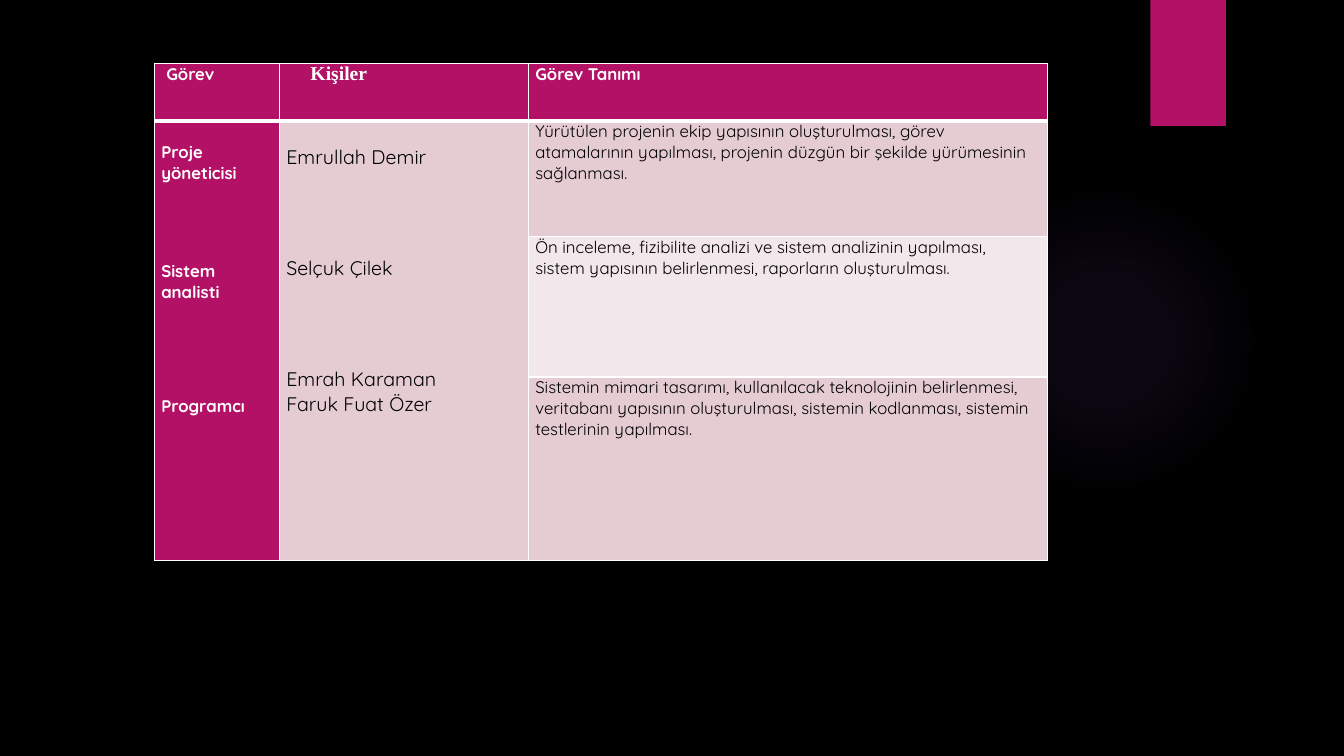
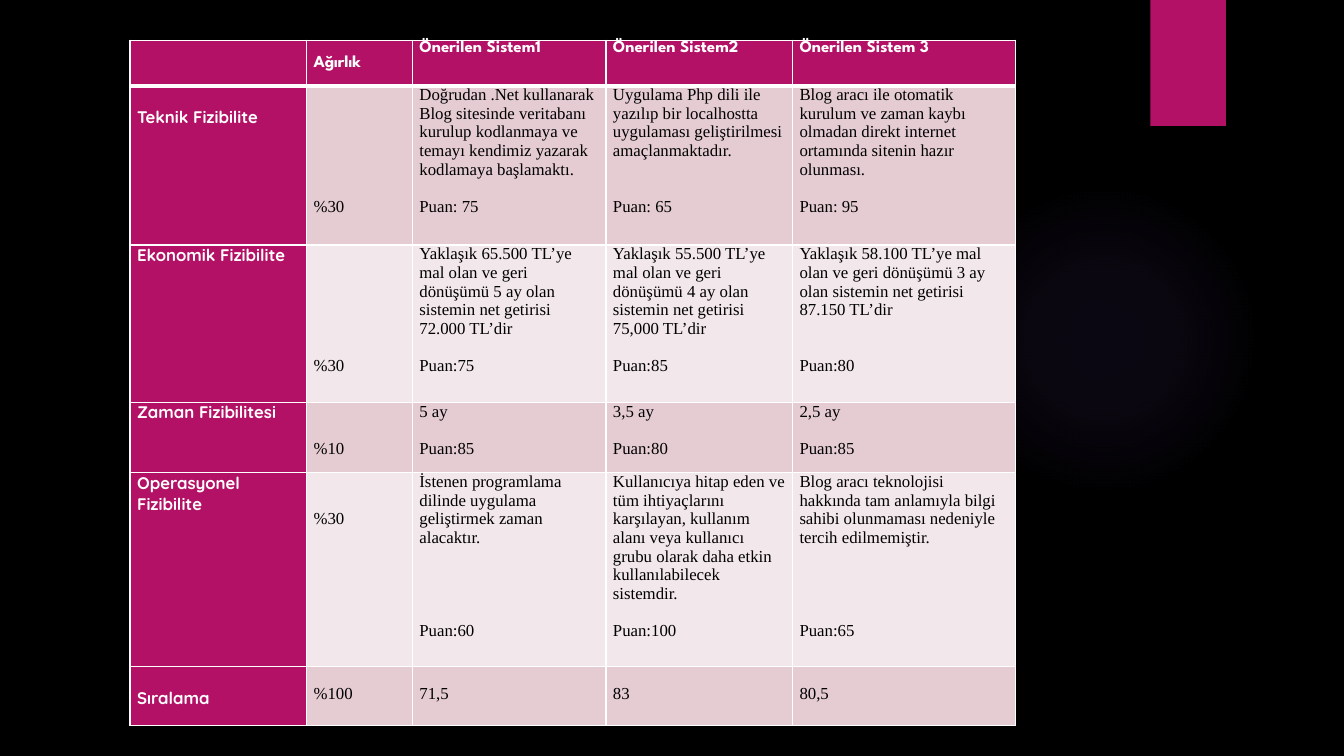
from pptx import Presentation
from pptx.dml.color import RGBColor
from pptx.enum.shapes import MSO_SHAPE as Shape
from pptx.enum.text import MSO_ANCHOR as Anchor
from pptx.oxml import parse_xml
from pptx.oxml.ns import nsdecls
from pptx.util import Inches, Pt

BLACK = RGBColor(0x00, 0x00, 0x00)
WHITE = RGBColor(0xFF, 0xFF, 0xFF)
MAGENTA = RGBColor(0xB3, 0x11, 0x66)
ROSE = RGBColor(0xE5, 0xCC, 0xD3)
PALE = RGBColor(0xF2, 0xE7, 0xEA)
GLOW = RGBColor(0x9B, 0x6B, 0xF2)
GLOW_STOPS = [(0, 7), (36, 6), (69, 0)]  # position and opacity, per cent

SANS, DISPLAY, SERIF = "Quicksand", "League Spartan", "Times New Roman"
LINE = 13.3  # height in points of one 12 pt serif line
LABEL_LINE = 15  # the same for the sans labels
SIDE = 0.07


def style(name, size=12, color=BLACK, bold=False):
    return {"name": name, "size": Pt(size), "bold": bold}, color


LABEL = style(SANS, color=WHITE, bold=True)
HEADING = style(DISPLAY, color=WHITE, bold=True)
SERIF_HEADING = style(SERIF, 14, WHITE, True)
PERSON = style(SANS, 14)
DUTY = style(SANS)
BODY = style(SERIF)

# A cell holds its paragraphs as (gap above in points, text), then its style
# and, where needed, cell settings.


def plain(text, look, **settings):
    return [(0, text)], look, settings


def lowered(lines, text, look=BODY):
    return [((LABEL_LINE if look is LABEL else LINE) * lines, text)], look, {}


def scored(text, blank_lines, score):
    return [(0, text), (LINE * blank_lines, score)], BODY, {}


TEAM = {
    "at": (1.53, 0.63),
    "columns": [1.24, 2.47, 5.15],
    "rows": [0.57, 1.15, 1.39, 1.82],
    "merge": [0, 1],
    "cells": [
        [plain("Görev", LABEL, margin_left=Inches(0.12)),
         plain("Kişiler", SERIF_HEADING, margin_left=Inches(0.31)),
         plain("Görev Tanımı", LABEL)],
        [([(LABEL_LINE, "Proje yöneticisi"), (55, "Sistem analisti"),
           (66.5, "Programcı")], LABEL, {}),
         ([(17, "Emrullah Demir"), (62, "Selçuk Çilek"),
           (62, "Emrah Karaman"), (0, "Faruk Fuat Özer")], PERSON, {}),
         plain("Yürütülen projenin ekip yapısının oluşturulması, görev "
               "atamalarının yapılması, projenin düzgün bir şekilde "
               "yürümesinin sağlanması.", DUTY)],
        [None, None,
         plain("Ön inceleme, fizibilite analizi ve sistem analizinin "
               "yapılması, sistem yapısının belirlenmesi, raporların "
               "oluşturulması.", DUTY)],
        [None, None,
         plain("Sistemin mimari tasarımı, kullanılacak teknolojinin "
               "belirlenmesi, veritabanı yapısının oluşturulması, sistemin "
               "kodlanması, sistemin testlerinin yapılması.", DUTY)],
    ],
}

FEASIBILITY = {
    "at": (1.29, 0.4),
    "columns": [1.75, 1.05, 1.92, 1.85, 2.21],
    "rows": [0.45, 1.58, 1.56, 0.7, 1.92, 0.59],
    "merge": [],
    "cells": [
        [None,
         plain("Ağırlık", HEADING, vertical_anchor=Anchor.MIDDLE),
         plain("Önerilen Sistem1", HEADING),
         plain("Önerilen Sistem2", HEADING),
         plain("Önerilen Sistem 3", HEADING)],
        [lowered(1, "Teknik Fizibilite", LABEL),
         lowered(6, "%30"),
         scored("Doğrudan .Net kullanarak Blog sitesinde veritabanı kurulup "
                "kodlanmaya ve temayı kendimiz yazarak kodlamaya başlamaktı.",
                1, "Puan: 75"),
         scored("Uygulama Php dili ile yazılıp bir localhostta uygulaması "
                "geliştirilmesi amaçlanmaktadır.", 2, "Puan: 65"),
         scored("Blog aracı ile otomatik kurulum ve zaman kaybı olmadan direkt "
                "internet ortamında sitenin hazır olunması.", 1, "Puan: 95")],
        [plain("Ekonomik Fizibilite", LABEL),
         lowered(6, "%30"),
         scored("Yaklaşık 65.500 TL’ye mal olan ve geri dönüşümü 5 ay olan "
                "sistemin net getirisi 72.000 TL’dir", 1, "Puan:75"),
         scored("Yaklaşık 55.500 TL’ye mal olan ve geri dönüşümü 4 ay olan "
                "sistemin net getirisi 75,000 TL’dir", 1, "Puan:85"),
         scored("Yaklaşık 58.100 TL’ye mal olan ve geri dönüşümü 3 ay olan "
                "sistemin net getirisi 87.150 TL’dir", 2, "Puan:80")],
        [plain("Zaman Fizibilitesi", LABEL),
         lowered(2, "%10"),
         scored("5 ay", 1, "Puan:85"),
         scored("3,5 ay", 1, "Puan:80"),
         scored("2,5 ay", 1, "Puan:85")],
        [plain("Operasyonel Fizibilite", LABEL),
         lowered(2, "%30"),
         scored("İstenen programlama dilinde uygulama geliştirmek zaman "
                "alacaktır.", 4, "Puan:60"),
         scored("Kullanıcıya hitap eden ve tüm ihtiyaçlarını karşılayan, "
                "kullanım alanı veya kullanıcı grubu olarak daha etkin "
                "kullanılabilecek sistemdir.", 1, "Puan:100"),
         scored("Blog aracı teknolojisi hakkında tam anlamıyla bilgi sahibi "
                "olunmaması nedeniyle tercih edilmemiştir.", 4, "Puan:65")],
        [lowered(1, "Sıralama", LABEL)]
        + [lowered(1, value) for value in ("%100", "71,5", "83", "80,5")],
    ],
}


def add_ornament(slide, kind, *box):
    shape = slide.shapes.add_shape(kind, *map(Inches, box))
    shape.shadow.inherit = False
    shape.line.fill.background()
    shape.fill.solid()
    shape.fill.fore_color.rgb = MAGENTA
    return shape


def make_glow(shape):
    """Replace the solid fill by a radial gradient that fades out."""
    stops = "".join(
        f'<a:gs pos="{position * 1000}"><a:srgbClr val="{GLOW}">'
        f'<a:alpha val="{opacity * 1000}"/></a:srgbClr></a:gs>'
        for position, opacity in GLOW_STOPS)
    gradient = parse_xml(
        f'<a:gradFill {nsdecls("a")}><a:gsLst>{stops}</a:gsLst>'
        '<a:path path="circle"><a:fillToRect l="50000" t="50000" '
        'r="50000" b="50000"/></a:path></a:gradFill>')
    properties = shape.element.spPr
    solid = properties.find("{*}solidFill")
    properties.replace(solid, gradient)


def set_borders(cell, row):
    """White lines all round, with a heavy one below the header row."""
    widths = {"L": 1, "R": 1, "T": 3 if row == 1 else 1,
              "B": 3 if row == 0 else 1}
    properties = cell._tc.get_or_add_tcPr()
    for index, (side, width) in enumerate(widths.items()):
        properties.insert(index, parse_xml(
            f'<a:ln{side} {nsdecls("a")} w="{Pt(width)}"><a:solidFill>'
            f'<a:srgbClr val="{WHITE}"/></a:solidFill></a:ln{side}>'))


def write_cell(cell, paragraphs, look, settings):
    font_values, color = look
    lead = paragraphs[0][0]
    margins = {"margin_left": Inches(SIDE), "margin_right": Inches(SIDE),
               "margin_top": Pt(lead), "margin_bottom": 0}
    for key, value in {**margins, **settings}.items():
        setattr(cell, key, value)
    frame = cell.text_frame
    for index, (gap, text) in enumerate(paragraphs):
        para = frame.add_paragraph() if index else frame.paragraphs[0]
        para.space_before = Pt(gap if index else 0)
        span = para.add_run()
        span.text = text
        for key, value in font_values.items():
            setattr(span.font, key, value)
        span.font.color.rgb = color


def add_grid(slide, grid):
    columns, rows = grid["columns"], grid["rows"]
    box = (*grid["at"], sum(columns), sum(rows))
    table = slide.shapes.add_table(
        len(rows), len(columns), *map(Inches, box)).table
    table.first_row = table.horz_banding = False
    for column, width in zip(table.columns, columns):
        column.width = Inches(width)
    for row, height in zip(table.rows, rows):
        row.height = Inches(height)
    for r, contents in enumerate(grid["cells"]):
        for c, content in enumerate(contents):
            cell = table.cell(r, c)
            banded = ROSE if r % 2 or c in grid["merge"] else PALE
            cell.fill.solid()
            cell.fill.fore_color.rgb = MAGENTA if 0 in (r, c) else banded
            set_borders(cell, r)
            if content:
                write_cell(cell, *content)
    for c in grid["merge"]:
        table.cell(1, c).merge(table.cell(len(rows) - 1, c))


def main():
    deck = Presentation()
    deck.slide_width, deck.slide_height = Inches(13.33), Inches(7.5)
    background = deck.slide_master.background.fill
    background.solid()
    background.fore_color.rgb = BLACK
    for grid in (TEAM, FEASIBILITY):
        slide = deck.slides.add_slide(deck.slide_layouts[6])
        make_glow(add_ornament(slide, Shape.OVAL, 9.41, 1.83, 3.08, 3.08))
        add_ornament(slide, Shape.RECTANGLE, 11.41, 0, 0.75, 1.25)
        add_grid(slide, grid)
    deck.save("out.pptx")


if __name__ == "__main__":
    main()
